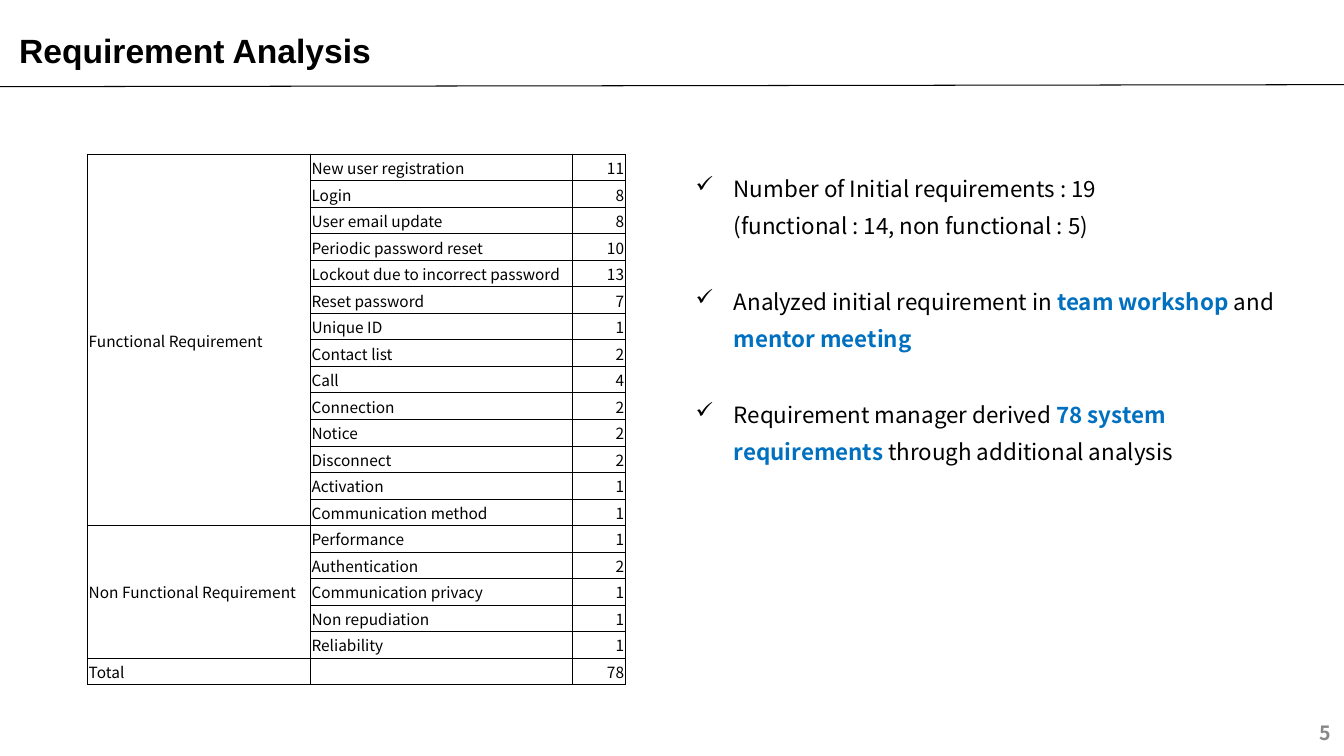
"""Builds the requirement analysis slide."""
import copy
import dataclasses
import typing

import lxml.etree
import pptx
import pptx.dml.color
import pptx.enum.shapes
import pptx.enum.text
import pptx.oxml
import pptx.oxml.ns
import pptx.util

PX = 9144
SANS = "Noto Sans CJK KR"
HEX = {"ink": "000000", "blue": "0070C0", "gray": "888888"}
ALIGN = pptx.enum.text.PP_ALIGN
MIDDLE = pptx.enum.text.MSO_ANCHOR.MIDDLE
QN = pptx.oxml.ns.qn


@dataclasses.dataclass(frozen=True)
class Group:
    name: str
    rows: tuple[tuple[str, int], ...]


@dataclasses.dataclass(frozen=True)
class Point:
    texts: tuple[str, ...]


GROUPS = (
    Group("Functional Requirement", (
        ("New user registration", 11), ("Login", 8), ("User email update", 8),
        ("Periodic password reset", 10), ("Lockout due to incorrect password", 13),
        ("Reset password", 7), ("Unique ID", 1), ("Contact list", 2), ("Call", 4),
        ("Connection", 2), ("Notice", 2), ("Disconnect", 2), ("Activation", 1),
        ("Communication method", 1))),
    Group("Non Functional Requirement", (
        ("Performance", 1), ("Authentication", 2), ("Communication privacy", 1),
        ("Non repudiation", 1), ("Reliability", 1))),
    Group("Total", (("", 78),)),
)
POINTS = (
    Point(("Number of Initial requirements : 19\v(functional : 14, non functional : 5)",)),
    Point(("Analyzed initial requirement in ", "team workshop ", "and ", "mentor meeting")),
    Point(("Requirement manager derived ", "78 system requirements",
           " through additional analysis")),
)


def px(*sizes: int) -> list[int]:
    """Turn pixels into EMU."""
    return [size * PX for size in sizes]


def style(run: typing.Any, size: int, color: str = "ink", bold: bool = False,
          face: str = SANS) -> None:
    """Format one run."""
    font = run.font
    font.name, font.size, font.bold = face, pptx.util.Pt(size), bold
    font.color.rgb = pptx.dml.color.RGBColor.from_string(HEX[color])


def pad(frame: typing.Any, side: int, edge: int) -> None:
    """Set the insets of a text frame and wrap its text."""
    frame.word_wrap = True
    frame.margin_left = frame.margin_right = side * PX
    frame.margin_top = frame.margin_bottom = edge * PX


def title(slide: typing.Any) -> None:
    """Place the title and the rule below it."""
    rule = slide.shapes.add_connector(
        pptx.enum.shapes.MSO_CONNECTOR.STRAIGHT, *px(0, 86, 1333, 84))
    rule.line.width = pptx.util.Pt(0.75)
    rule.line.color.rgb = pptx.dml.color.RGBColor.from_string(HEX["ink"])
    lxml.etree.SubElement(rule._element.spPr, QN("a:effectLst"))
    head = slide.shapes.title
    head.left, head.top, head.width, head.height = px(9, 25, 458, 50)
    frame = head.text_frame
    frame.text = "Requirement Analysis"
    pad(frame, 10, 5)
    frame.auto_size = pptx.enum.text.MSO_AUTO_SIZE.SHAPE_TO_FIT_TEXT
    frame.vertical_anchor = pptx.enum.text.MSO_ANCHOR.TOP
    frame.paragraphs[0].alignment = ALIGN.LEFT
    style(frame.paragraphs[0].runs[0], 24, bold=True, face="Arial")


def border(cell: typing.Any) -> None:
    """Draw a thin line on each side of a cell."""
    props = cell._tc.get_or_add_tcPr()
    for side in "LRTB":
        line = lxml.etree.SubElement(props, QN(f"a:ln{side}"), w="6350")
        paint = lxml.etree.SubElement(line, QN("a:solidFill"))
        lxml.etree.SubElement(paint, QN("a:srgbClr"), val=HEX["ink"])


def fill(cell: typing.Any, text: str, right: bool) -> None:
    """Write and format one table cell."""
    cell.text = text
    cell.margin_left = cell.margin_right = cell.margin_top = PX
    cell.margin_bottom = 0
    cell.vertical_anchor = MIDDLE
    border(cell)
    cell.fill.background()
    para = cell.text_frame.paragraphs[0]
    para.alignment = ALIGN.RIGHT if right else ALIGN.LEFT
    for run in para.runs:
        style(run, 11)
    if not text:
        lxml.etree.SubElement(para._p, QN("a:endParaRPr"), sz="1100")


def grid(slide: typing.Any) -> None:
    """Add the table of requirement counts."""
    total = sum(len(group.rows) for group in GROUPS)
    table = slide.shapes.add_table(total, 3, *px(87, 153, 533, 526)).table
    table.first_row = table.horz_banding = False
    for col, width in zip(table.columns, px(221, 260, 52)):
        col.width = width
    top = 0
    for group in GROUPS:
        for step, (label, count) in enumerate(group.rows):
            texts = ("" if step else group.name, label, str(count))
            for col, text in enumerate(texts):
                fill(table.cell(top + step, col), text, col == 2)
        last = top + len(group.rows) - 1
        if last > top:
            table.cell(top, 0).merge(table.cell(last, 0))
        top = last + 1


def bullet(para: typing.Any) -> None:
    """Give a paragraph a hanging check mark."""
    props = para._p.get_or_add_pPr()
    props.set("marL", str(51 * PX))
    props.set("indent", str(-38 * PX))
    color = lxml.etree.SubElement(props, QN("a:buClr"))
    lxml.etree.SubElement(color, QN("a:srgbClr"), val=HEX["ink"])
    lxml.etree.SubElement(props, QN("a:buChar"), char="✓")


def points(slide: typing.Any) -> None:
    """Add the list of findings, with every second text in bold blue."""
    frame = slide.shapes.add_textbox(*px(667, 153, 619, 332)).text_frame
    pad(frame, 10, 10)
    for rank, point in enumerate(POINTS):
        para = frame.add_paragraph() if rank else frame.paragraphs[0]
        bullet(para)
        para.line_spacing = 1.4
        if rank:
            para.space_before = pptx.util.Pt(27)
        para.text = point.texts[0]
        for run in para.runs:
            style(run, 16)
        for mark in para._p.findall(QN("a:br")):
            mark.append(copy.deepcopy(para.runs[0]._r.rPr))
        for spot, text in enumerate(point.texts[1:], 1):
            run = para.add_run()
            run.text = text
            key = spot % 2 == 1
            style(run, 16, "blue" if key else "ink", key)


def number(slide: typing.Any) -> None:
    """Add the page number."""
    frame = slide.shapes.add_textbox(*px(1030, 707, 300, 40)).text_frame
    frame.text = "5"
    pad(frame, 10, 5)
    frame.vertical_anchor = MIDDLE
    frame.paragraphs[0].alignment = ALIGN.RIGHT
    style(frame.paragraphs[0].runs[0], 14, "gray", True)


def main() -> None:
    """Build and save the deck."""
    deck = pptx.Presentation()
    deck.slide_width, deck.slide_height = px(1333, 750)
    slide = deck.slides.add_slide(deck.slide_layouts[5])
    title(slide)
    grid(slide)
    points(slide)
    number(slide)
    deck.save("out.pptx")


if __name__ == "__main__":
    main()
